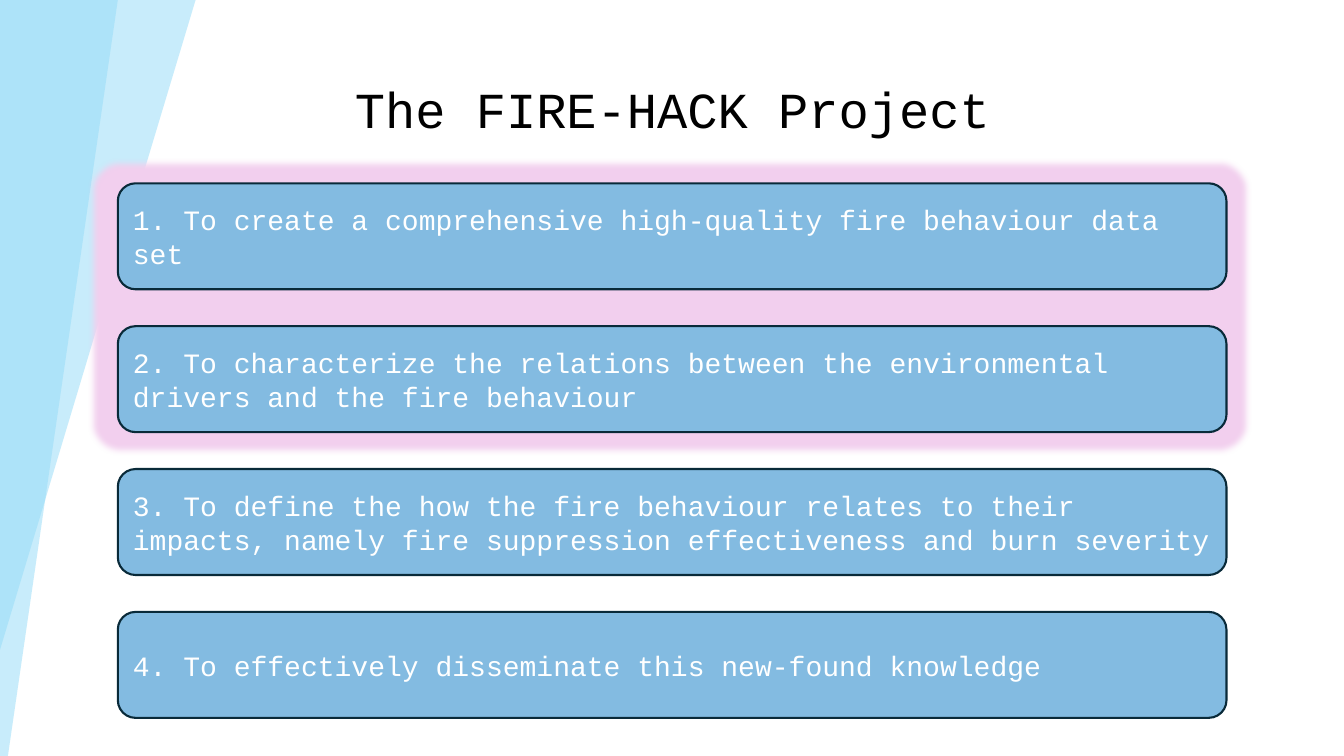
import dataclasses
import typing

import lxml.etree
import pptx
import pptx.dml.color
import pptx.enum.shapes
import pptx.enum.text
import pptx.oxml.ns
import pptx.util

Cm = pptx.util.Cm
Pt = pptx.util.Pt
ROUNDED = pptx.enum.shapes.MSO_SHAPE.ROUNDED_RECTANGLE
ANCHOR = pptx.enum.text.MSO_ANCHOR
ALIGN = pptx.enum.text.PP_ALIGN
AUTO_SIZE = pptx.enum.text.MSO_AUTO_SIZE

TITLE_FRAME = {"word_wrap": True, "auto_size": AUTO_SIZE.SHAPE_TO_FIT_TEXT}
TITLE_PARAGRAPH = {"alignment": ALIGN.CENTER, "line_spacing": 1.5}
TITLE_FONT = {"name": "Courier New", "size": Pt(36)}
GOAL_FRAME = {"word_wrap": True, "vertical_anchor": ANCHOR.MIDDLE}
GOAL_PARAGRAPH = {"alignment": ALIGN.LEFT}
GOAL_FONT = {"name": "Courier New", "size": Pt(20)}

GOALS_TOP = 4.62
GOAL_PITCH = 3.6
GOALS = [
    "To create a comprehensive high-quality fire behaviour data set",
    "To characterize the relations between the environmental drivers and the fire behaviour",
    "To define the how the fire behaviour relates to their impacts, "
    "namely fire suppression effectiveness and burn severity",
    "To effectively disseminate this new-found knowledge",
]


@dataclasses.dataclass(frozen=True)
class Box:
    left: float
    top: float
    width: float
    height: float

    def lengths(self) -> list[int]:
        return [Cm(value) for value in dataclasses.astuple(self)]


@dataclasses.dataclass(frozen=True)
class Ray:
    corners: tuple[tuple[float, float], ...]


RAYS = [
    Ray(((0, 0), (4.93, 0), (0, 16.38))),
    Ray(((0, 0), (2.97, 0), (0.2, 19.05), (0, 19.05))),
]


def rgb(code: str) -> pptx.dml.color.RGBColor:
    return pptx.dml.color.RGBColor.from_string(code)


def apply(target: typing.Any, values: dict[str, typing.Any]) -> None:
    for attribute, value in values.items():
        setattr(target, attribute, value)


def add_effect(parent: typing.Any, tag: str, **attributes: str) -> None:
    lxml.etree.SubElement(parent, pptx.oxml.ns.qn(tag), attributes)


def fill_shape(shape: typing.Any, color: str) -> None:
    shape.shadow.inherit = False
    shape.fill.solid()
    shape.fill.fore_color.rgb = rgb(color)
    shape.line.fill.background()


def write(
    shape: typing.Any, text: str, color: str, frame_format: dict, paragraph_format: dict, font_format: dict
) -> None:
    apply(shape.text_frame, frame_format)
    paragraph = shape.text_frame.paragraphs[0]
    apply(paragraph, paragraph_format)
    run = paragraph.add_run()
    run.text = text
    apply(run.font, font_format)
    run.font.color.rgb = rgb(color)


def draw_ray(slide: typing.Any, ray: Ray) -> None:
    start, *others = [(Cm(x), Cm(y)) for x, y in ray.corners]
    builder = slide.shapes.build_freeform(*start)
    builder.add_line_segments(others, close=True)
    beam = builder.convert_to_shape()
    fill_shape(beam, "96DCF8")
    tint = beam.fill._xPr.find(".//" + pptx.oxml.ns.qn("a:srgbClr"))
    add_effect(tint, "a:alpha", val="52000")


def draw_title(slide: typing.Any, box: Box, text: str) -> None:
    title = slide.shapes.add_textbox(*box.lengths())
    write(title, text, "000000", TITLE_FRAME, TITLE_PARAGRAPH, TITLE_FONT)


def draw_highlight(slide: typing.Any, box: Box) -> None:
    highlight = slide.shapes.add_shape(ROUNDED, *box.lengths())
    highlight.adjustments[0] = 0.095
    fill_shape(highlight, "F2CFEE")
    effects = highlight.element.spPr.find(pptx.oxml.ns.qn("a:effectLst"))
    add_effect(effects, "a:softEdge", rad=str(Pt(5)))


def draw_goal(slide: typing.Any, box: Box, text: str) -> None:
    goal = slide.shapes.add_shape(ROUNDED, *box.lengths())
    fill_shape(goal, "83BBE1")
    goal.line.color.rgb = rgb("092A39")
    goal.line.width = Pt(1.5)
    write(goal, text, "FFFFFF", GOAL_FRAME, GOAL_PARAGRAPH, GOAL_FONT)


def main() -> None:
    presentation = pptx.Presentation()
    apply(presentation, {"slide_width": Cm(33.87), "slide_height": Cm(19.05)})
    slide = presentation.slides.add_slide(presentation.slide_layouts[6])
    for ray in RAYS:
        draw_ray(slide, ray)
    draw_title(slide, Box(0.79, 1.07, 32.31, 2.29), "The FIRE-HACK Project")
    draw_highlight(slide, Box(2.24, 3.99, 29.31, 7.49))
    for index, goal in enumerate(GOALS):
        box = Box(2.97, GOALS_TOP + index * GOAL_PITCH, 27.94, 2.67)
        draw_goal(slide, box, f"{index + 1}. {goal}")
    presentation.save("out.pptx")


if __name__ == "__main__":
    main()
